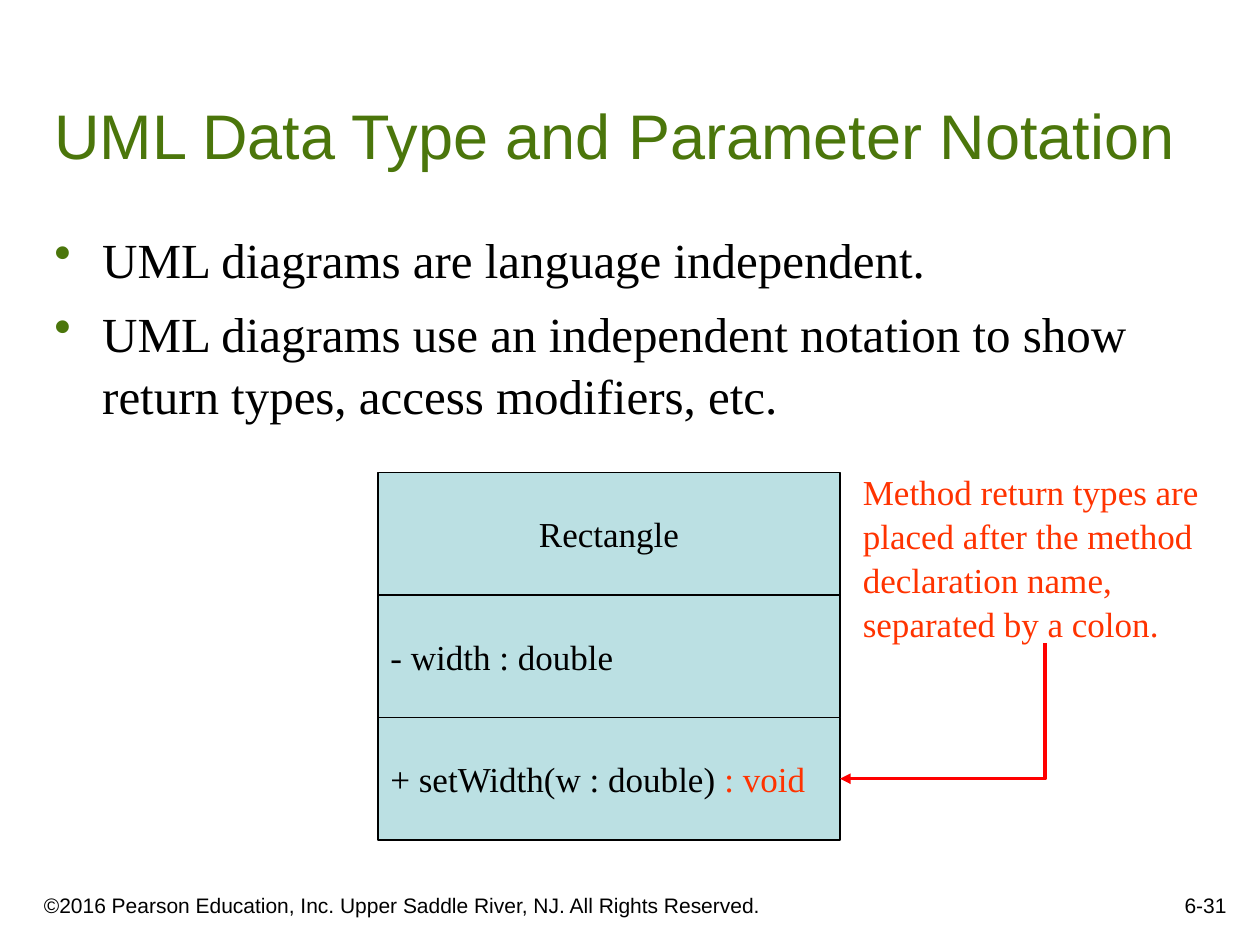
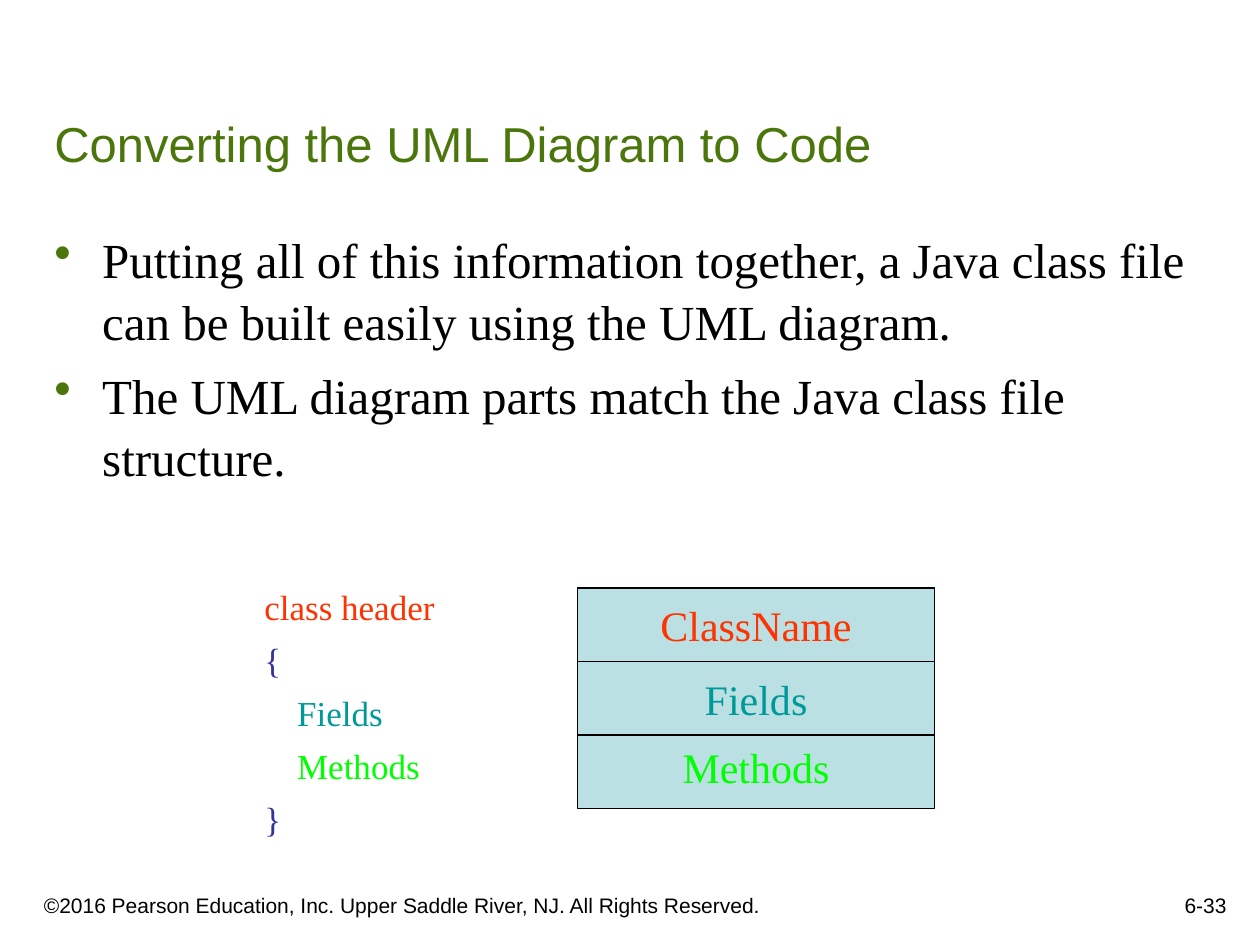
from lxml import etree
from pptx import Presentation
from pptx.dml.color import RGBColor
from pptx.enum.shapes import MSO_CONNECTOR, MSO_SHAPE
from pptx.enum.text import MSO_ANCHOR, PP_ALIGN
from pptx.oxml.ns import qn
from pptx.util import Inches, Pt

LEFT, CENTER, RIGHT = PP_ALIGN.LEFT, PP_ALIGN.CENTER, PP_ALIGN.RIGHT
TOP, MIDDLE, BOTTOM = MSO_ANCHOR.TOP, MSO_ANCHOR.MIDDLE, MSO_ANCHOR.BOTTOM
RECTANGLE, ELBOW = MSO_SHAPE.RECTANGLE, MSO_CONNECTOR.ELBOW

WIDTH, HEIGHT = Inches(10), Inches(7.5)
COLUMNS, ROWS = 120, 90
SANS, SERIF = "Arial", "Times New Roman"
BLACK, GREEN, PALE_BLUE = "000000", "4B760B", "BBE0E3"
ORANGE, RED, TEAL, LIME, NAVY = "FF3300", "FF0000", "009999", "00FF00", "333399"
COPYRIGHT = "©2016 Pearson Education, Inc. Upper Saddle River, NJ. All Rights Reserved."


def rgb(value):
    return RGBColor.from_string(value)


def grid(column, row):
    return round(WIDTH * column / COLUMNS), round(HEIGHT * row / ROWS)


class Deck:
    """Builds slides in one style on a grid of 120 columns by 90 rows."""

    def __init__(self):
        self.presentation = Presentation()
        self.presentation.slide_width, self.presentation.slide_height = WIDTH, HEIGHT
        self.slide = None

    def start(self, title, number, title_size):
        layout = self.presentation.slide_layouts[6]
        self.slide = self.presentation.slides.add_slide(layout)
        self.text((3, 83, 73, 5), [[(COPYRIGHT, BLACK)]], 12, SANS, anchor=BOTTOM)
        self.text((93, 82, 25, 6), [[(number, BLACK)]], 12, SANS, RIGHT, BOTTOM)
        self.text((4, 4, 113, 13), [[(title, GREEN)]], title_size, SANS, anchor=BOTTOM)

    def fill_text(self, shape, paragraphs, size, font=SERIF, align=LEFT, anchor=TOP,
                  gap=0, spacing=None):
        frame = shape.text_frame
        frame.word_wrap = True
        frame.vertical_anchor = anchor
        for index, runs in enumerate(paragraphs):
            paragraph = frame.add_paragraph() if index else frame.paragraphs[0]
            settings = {"alignment": align, "line_spacing": spacing,
                        "space_before": Pt(gap if index else 0)}
            for name, value in settings.items():
                setattr(paragraph, name, value)
            for words, color in runs:
                run = paragraph.add_run()
                run.text = words
                for name, value in {"name": font, "size": Pt(size)}.items():
                    setattr(run.font, name, value)
                run.font.color.rgb = rgb(color)
        return frame

    def text(self, area, paragraphs, size, *style, **options):
        left, top, width, height = area
        box = self.slide.shapes.add_textbox(*grid(left, top), *grid(width, height))
        return self.fill_text(box, paragraphs, size, *style, **options)

    def bullets(self, rows, sentences):
        frame = self.text((4, 21, 109, rows), [[(words, BLACK)] for words in sentences],
                          28, gap=7, spacing=1.05)
        frame.margin_right = 0
        for paragraph in frame.paragraphs:
            properties = paragraph._p.get_or_add_pPr()
            properties.set("marL", str(Inches(0.38)))
            properties.set("indent", str(-Inches(0.38)))
            color = etree.SubElement(properties, qn("a:buClr"))
            etree.SubElement(color, qn("a:srgbClr"), val=GREEN)
            etree.SubElement(properties, qn("a:buChar"), char="•")

    def class_diagram(self, left, top, width, height, size, compartments):
        for index, (runs, align, anchor) in enumerate(compartments):
            shape = self.slide.shapes.add_shape(
                RECTANGLE, *grid(left, top + index * height), *grid(width, height))
            shape.shadow.inherit = False
            shape.fill.solid()
            shape.fill.fore_color.rgb = rgb(PALE_BLUE)
            shape.line.color.rgb = rgb(BLACK)
            shape.line.width = Pt(0.75)
            self.fill_text(shape, [runs], size, align=align, anchor=anchor)

    def code_outline(self, area, lines):
        frame = self.text(area, [[(words, color)] for words, color, _ in lines],
                          20, gap=5, spacing=1.05)
        for paragraph, (_, _, level) in zip(frame.paragraphs, lines):
            paragraph._p.get_or_add_pPr().set("marL", str(Inches(0.26 * level)))

    def down_left_arrow(self, start, end, color):
        (start_x, start_y), (end_x, end_y) = grid(*start), grid(*end)
        center_x, center_y = (start_x + end_x) // 2, (start_y + end_y) // 2
        half_width, half_height = (end_y - start_y) // 2, (start_x - end_x) // 2
        connector = self.slide.shapes.add_connector(
            ELBOW, center_x - half_width, center_y - half_height,
            center_x + half_width, center_y + half_height)
        properties = connector._element.spPr
        properties.find(qn("a:xfrm")).set("rot", str(90 * 60000))
        properties.find(qn("a:prstGeom")).set("prst", "bentConnector2")
        connector.line.color.rgb = rgb(color)
        connector.line.width = Pt(2)
        etree.SubElement(properties.find(qn("a:ln")), qn("a:tailEnd"), type="triangle")
        etree.SubElement(properties, qn("a:effectLst"))


def notation_slide(deck):
    deck.start("UML Data Type and Parameter Notation", "6-31", 36)
    deck.bullets(23, [
        "UML diagrams are language independent.",
        "UML diagrams use an independent notation to show return types, "
        "access modifiers, etc."])
    left, top, width, height = 36, 45, 44, 35 / 3
    deck.class_diagram(left, top, width, height, 20, [
        ([("Rectangle", BLACK)], CENTER, MIDDLE),
        ([("- width : double", BLACK)], LEFT, MIDDLE),
        ([("+ setWidth(w : double) ", BLACK), (": void", ORANGE)], LEFT, MIDDLE)])
    deck.text((81, 44, 37, 17.25), [[(
        "Method return types are placed after the method declaration name, "
        "separated by a colon.", ORANGE)]], 20, spacing=1.05)
    deck.down_left_arrow((99.5, 61.25), (left + width, top + 2.5 * height), RED)


def conversion_slide(deck):
    deck.start("Converting the UML Diagram to Code", "6-33", 28)
    deck.bullets(36, [
        "Putting all of this information together, a Java class file can be built "
        "easily using the UML diagram.",
        "The UML diagram parts match the Java class file structure."])
    deck.class_diagram(55, 56, 34, 7, 24, [
        ([("ClassName", ORANGE)], CENTER, MIDDLE),
        ([("Fields", TEAL)], CENTER, MIDDLE),
        ([("Methods", LIME)], CENTER, TOP)])
    deck.code_outline((24, 55, 24, 25), [
        ("class header", ORANGE, 0), ("{", NAVY, 0), ("Fields", TEAL, 1),
        ("Methods", LIME, 1), ("}", NAVY, 0)])


def main():
    deck = Deck()
    notation_slide(deck)
    conversion_slide(deck)
    deck.presentation.save("out.pptx")


if __name__ == "__main__":
    main()
